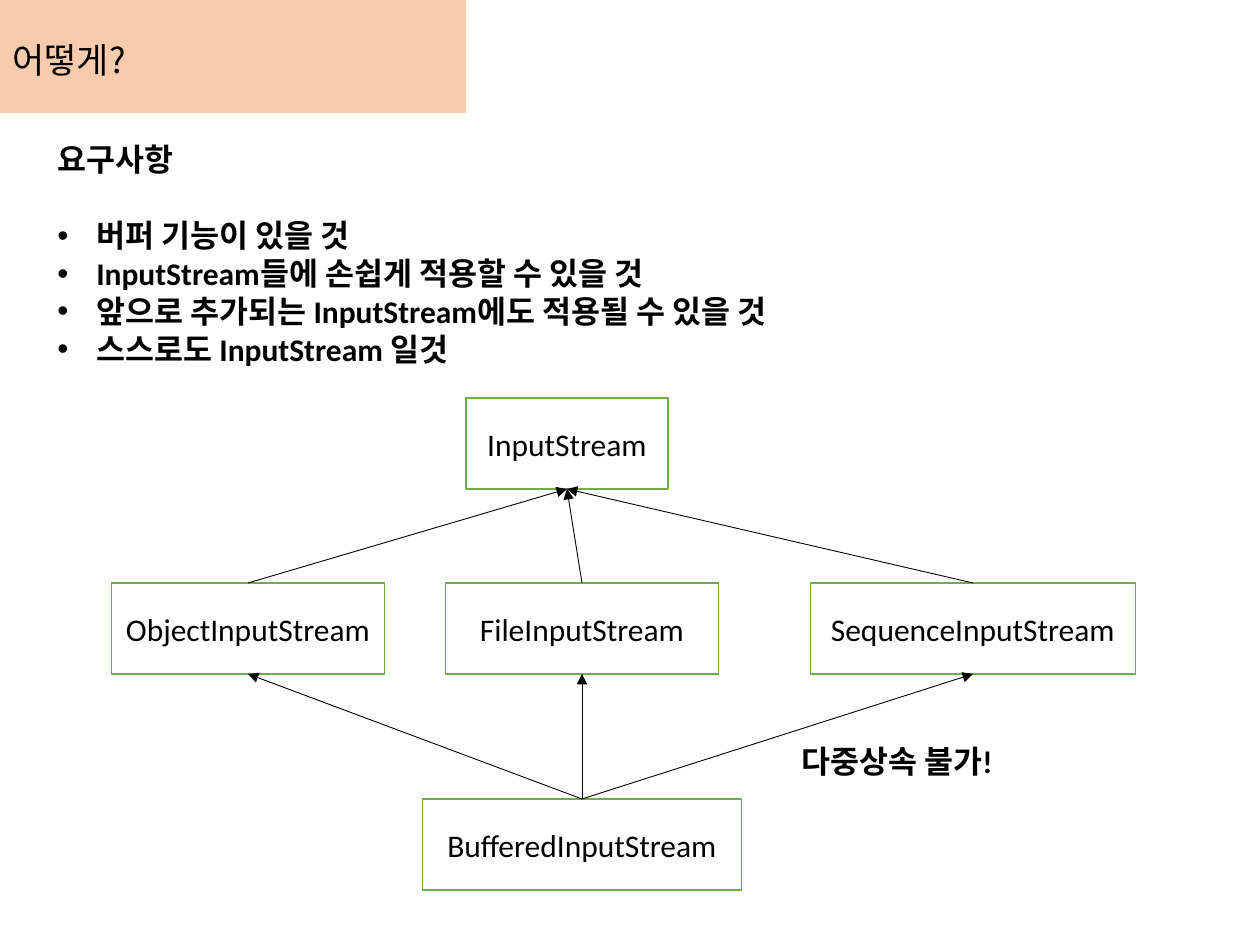
from lxml.etree import SubElement
from pptx import Presentation
from pptx.dml.color import RGBColor
from pptx.enum.shapes import MSO_CONNECTOR, MSO_SHAPE
from pptx.enum.text import MSO_ANCHOR, PP_ALIGN
from pptx.oxml.ns import qn
from pptx.util import Emu, Pt

SCALE = 914400 // 126
KOREAN = "Noto Sans CJK KR"


def px(n):
    return Emu(round(n * SCALE))


def rgb(color):
    return RGBColor.from_string(color)


def add_run(p, text, size=18, font="Calibri", bold=False):
    r = p.add_run()
    r.text = text
    r.font.size = Pt(size)
    r.font.name = font
    r.font.bold = bold
    r.font.color.rgb = rgb("000000")
    SubElement(r._r.get_or_add_rPr(), qn("a:ea")).set("typeface", KOREAN)


def add_rect(s, x, y, w, h, fill, line=None):
    sp = s.shapes.add_shape(MSO_SHAPE.RECTANGLE, px(x), px(y), px(w), px(h))
    sp.shadow.inherit = False
    sp.fill.solid()
    sp.fill.fore_color.rgb = rgb(fill)
    if line:
        sp.line.color.rgb = rgb(line)
        sp.line.width = Pt(1)
    else:
        sp.line.fill.background()
    return sp


def add_text(s, x, y, w, h):
    tf = s.shapes.add_textbox(px(x), px(y), px(w), px(h)).text_frame
    tf.word_wrap = True
    return tf


def add_bullet(p):
    pPr = p._p.get_or_add_pPr()
    pPr.set("marL", str(px(39)))
    pPr.set("indent", str(-px(39)))
    SubElement(pPr, qn("a:buFont")).set("typeface", "Arial")
    SubElement(pPr, qn("a:buChar")).set("char", "•")


def add_arrow(s, start, end):
    c = s.shapes.add_connector(MSO_CONNECTOR.STRAIGHT, *map(px, start + end))
    c.line.color.rgb = rgb("000000")
    c.line.width = Pt(0.5)
    SubElement(c.line._get_or_add_ln(), qn("a:tailEnd")).set("type", "triangle")
    SubElement(c._element.spPr, qn("a:effectLst"))


def title_band(s, x, y, w, h):
    add_rect(s, x, y, w, h, "F8CBAD")
    tf = add_text(s, x, y + 26, 299, 61)
    tf.vertical_anchor = MSO_ANCHOR.BOTTOM
    p = tf.paragraphs[0]
    p.line_spacing = 1.5
    add_run(p, "어떻게?", 20, KOREAN)


def requirements(s, x, y, w, h):
    tf = add_text(s, x, y, w, h)
    p = tf.paragraphs[0]
    p.space_after = Pt(22)
    add_run(p, "요구사항", bold=True)
    for item in (
        "버퍼 기능이 있을 것",
        "InputStream들에 손쉽게 적용할 수 있을 것",
        "앞으로 추가되는 InputStream에도 적용될 수 있을 것",
        "스스로도 InputStream 일것",
    ):
        p = tf.add_paragraph()
        add_bullet(p)
        add_run(p, item, bold=True)


def class_box(s, name, center, y, w, h):
    sp = add_rect(s, center - w / 2, y, w, h, "FFFFFF", "70AD47")
    tf = sp.text_frame
    tf.word_wrap = True
    tf.vertical_anchor = MSO_ANCHOR.MIDDLE
    p = tf.paragraphs[0]
    p.alignment = PP_ALIGN.CENTER
    add_run(p, name)
    return (center, y), (center, y + h)


def class_diagram(s, x, y):
    h = 91
    _, base = class_box(s, "InputStream", x + 456, y, 202, h)
    top, _ = class_box(s, "BufferedInputStream", x + 471, y + 401, 319, h)
    for name, center, w in (
        ("ObjectInputStream", 137, 273),
        ("FileInputStream", 471, 273),
        ("SequenceInputStream", 862, 325),
    ):
        upper, lower = class_box(s, name, x + center, y + 185, w, h)
        add_arrow(s, upper, base)
        add_arrow(s, top, lower)
    tf = add_text(s, x + 678, y + 338, 252, 50)
    add_run(tf.paragraphs[0], "다중상속 불가!", bold=True)


prs = Presentation()
prs.slide_width, prs.slide_height = px(1260), px(945)
s = prs.slides.add_slide(prs.slide_layouts[6])
title_band(s, 0, 0, 466, 113)
requirements(s, 45, 134, 869, 280)
class_diagram(s, 111, 398)
prs.save("out.pptx")
